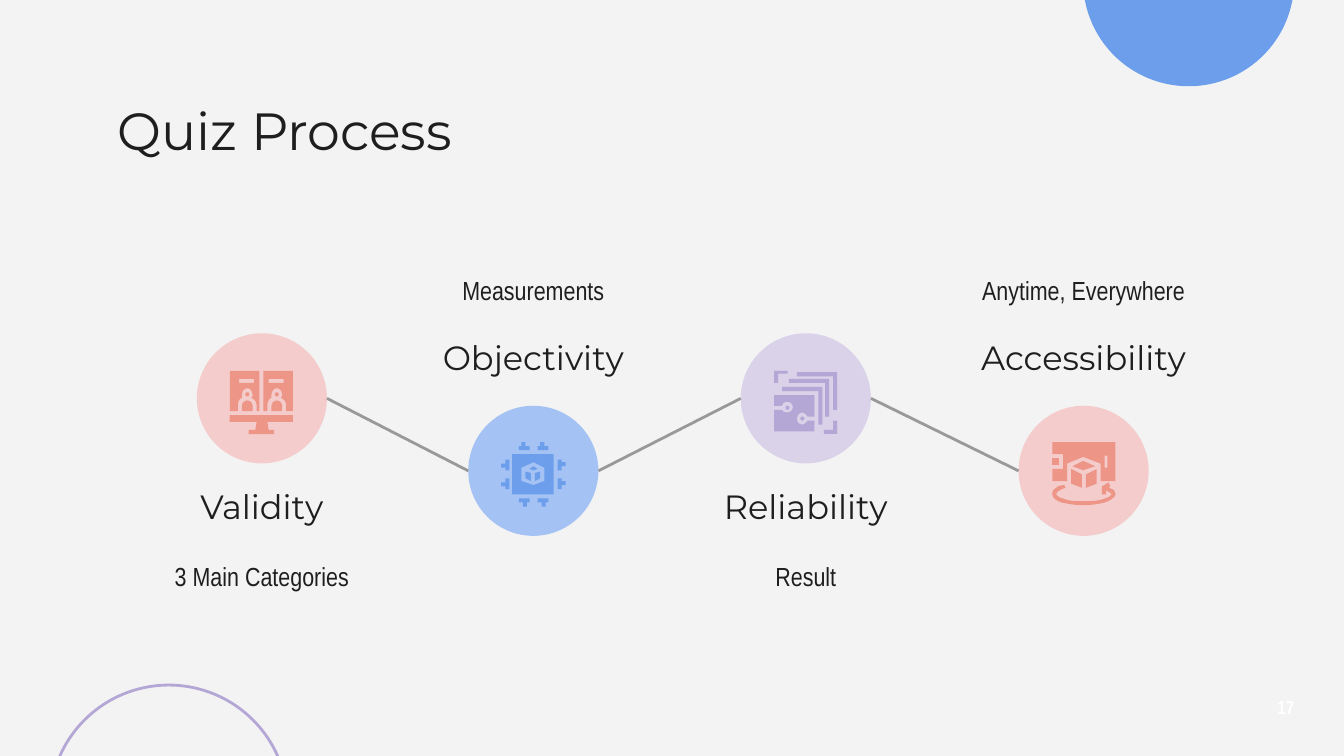
from dataclasses import dataclass
from math import cos, pi, sin

from pptx import Presentation, oxml
from pptx import util as u
from pptx.dml import color
from pptx.enum import shapes, text


@dataclass(frozen=True)
class Theme:
    paper: str = "F3F3F3"
    ink: str = "1E1E1E"
    white: str = "FFFFFF"
    gray: str = "999999"
    blue: str = "6D9EEB"
    light_blue: str = "A4C2F4"
    purple: str = "B4A7D6"
    light_purple: str = "D9D2E9"
    coral: str = "ED9688"
    light_coral: str = "F4CCCC"
    head_font: str = "Montserrat"
    body_font: str = "Arial Narrow"
    title_size: int = 28
    name_size: int = 18
    note_size: int = 14
    number_size: int = 10
    line_width: float = 1.5


theme = Theme()


def write(box, words, font, size, ink=theme.ink, align=text.PP_ALIGN.CENTER, bold=False):
    frame = box.text_frame
    layout = {"word_wrap": True, "auto_size": text.MSO_AUTO_SIZE.NONE,
              "vertical_anchor": text.MSO_ANCHOR.MIDDLE}
    layout.update({f"margin_{side}": u.Cm(0.25) for side in ("left", "right", "top", "bottom")})
    for key, value in layout.items():
        setattr(frame, key, value)
    para = frame.paragraphs[0]
    para.alignment = align
    span = para.add_run()
    span.text = words
    for key, value in {"name": font, "size": u.Pt(size), "bold": bold}.items():
        setattr(span.font, key, value)
    span.font.color.rgb = color.RGBColor.from_string(ink)


def trace(group, outlines, fill):
    builder = None
    for outline in outlines:
        points = []
        for node in outline:
            if len(node) == 2:
                points.append(node)
                continue
            xs, ys = (points[-1][0], *node[::2]), (points[-1][1], *node[1::2])
            for step in range(1, 7):
                t = step / 6
                weights = ((1 - t) ** 3, 3 * t * (1 - t) ** 2, 3 * t * t * (1 - t), t ** 3)
                points.append(tuple(sum(w * v for w, v in zip(weights, axis)) for axis in (xs, ys)))
        points = [(x * 10, y * 10) for x, y in points]
        if builder is None:
            builder = group.shapes.build_freeform(*points[0], scale=u.Cm(2.54) / 1000)
        else:
            builder.move_to(*points[0])
        builder.add_line_segments(points[1:], close=True)
    shape = builder.convert_to_shape()
    shape.shadow.inherit = False
    shape.fill.solid()
    shape.fill.fore_color.rgb = color.RGBColor.from_string(fill)
    shape.line.fill.background()


deck = Presentation()
deck.slide_width, deck.slide_height = u.Cm(25.4), u.Cm(14.29)
page = deck.slides.add_slide(deck.slide_layouts[5])
page.background.fill.solid()
page.background.fill.fore_color.rgb = color.RGBColor.from_string(theme.paper)

title = page.shapes.title
for key, value in {"left": 1.98, "top": 1.8, "width": 21.44, "height": 1.3}.items():
    setattr(title, key, u.Cm(value))
write(title, "Quiz Process", theme.head_font, theme.title_size, align=text.PP_ALIGN.LEFT)

steps = [
    ("Validity", "3 Main Categories", theme.light_coral, 4.95, True),
    ("Objectivity", "Measurements", theme.light_blue, 10.08, False),
    ("Reliability", "Result", theme.light_purple, 15.23, True),
    ("Accessibility", "Anytime, Everywhere", theme.light_coral, 20.48, False),
]
diameter, label_width = 2.46, 5.13
centres = [(x, 7.53 if label_below else 8.9) for *_, x, label_below in steps]

circles = [(20.47, -2.36, 3.99, theme.blue, None), (0.94, 12.95, 4.5, None, theme.purple)]
for (name, note, fill, x, label_below), (_, y) in zip(steps, centres):
    circles.append((x - diameter / 2, y - diameter / 2, diameter, fill, None))
    name_top, note_top = (8.99, 10.16) if label_below else (6.17, 4.75)
    for words, top, height, font, size in (
        (name, name_top, 1.17, theme.head_font, theme.name_size),
        (note, note_top, 1.45, theme.body_font, theme.note_size),
    ):
        box = page.shapes.add_textbox(u.Cm(x - label_width / 2), u.Cm(top),
                                      u.Cm(label_width), u.Cm(height))
        write(box, words, font, size)

for left, top, size, fill, line in circles:
    circle = page.shapes.add_shape(shapes.MSO_SHAPE.OVAL, u.Cm(left), u.Cm(top), u.Cm(size), u.Cm(size))
    circle.shadow.inherit = False
    for part, shade in ((circle.fill, fill), (circle.line.fill, line)):
        if shade:
            part.solid()
            part.fore_color.rgb = color.RGBColor.from_string(shade)
        else:
            part.background()
    if line:
        circle.line.width = u.Pt(theme.line_width)

for (x1, y1), (x2, y2) in zip(centres, centres[1:]):
    link = page.shapes.add_connector(shapes.MSO_CONNECTOR.STRAIGHT, u.Cm(x1 + diameter / 2), u.Cm(y1),
                                     u.Cm(x2 - diameter / 2), u.Cm(y2))
    link.line.color.rgb = color.RGBColor.from_string(theme.gray)
    link.line.width = u.Pt(theme.line_width)
    link._element.spPr.append(oxml.parse_xml(
        '<a:effectLst xmlns:a="http://schemas.openxmlformats.org/drawingml/2006/main"/>'))

ring = [(1.5 * cos(pi * i / 8), 1.5 * sin(pi * i / 8)) for i in range(16)]

meeting = [[[(171, 309), (171, 314), (191, 314), (190, 320), (185, 320), (185, 323), (204, 323),
             (204, 320), (200, 320), (199, 314), (218, 314), (218, 309)]]]
for left, x in ((171, 184), (196, 206)):
    meeting += [
        [[(x + dx, 293.5 + dy) for dx, dy in ring]],
        [[(x, 298), (x - 2, 298, x - 4, 300, x - 4, 302), (x - 4, 306), (x + 4, 306), (x + 4, 302),
          (x + 4, 300, x + 2, 298, x, 298)]],
        [[(x - 6, 282), (x + 5, 282), (x + 5, 285), (x - 6, 285)],
         [(left, 276), (left, 306), (x - 7, 306), (x - 7, 302), (x - 7, 299, x - 6, 297, x - 4, 296),
          (x - 4, 295, x - 4, 294, x - 4, 294), (x - 4, 291, x - 2, 289, x, 289),
          (x + 2, 289, x + 4, 291, x + 4, 294), (x + 4, 294, x + 4, 295, x + 3, 296),
          (x + 5, 297, x + 7, 299, x + 7, 302), (x + 7, 306), (left + 22, 306), (left + 22, 276)]],
    ]

chip = [
    [[(402, 351), (398, 352), (398, 358), (402, 356)]],
    [[(391, 351), (391, 356), (395, 358), (395, 352)]],
    [[(397, 347), (394, 349), (397, 350), (400, 349)]],
    [[(397, 344), (405, 348), (405, 358), (397, 361), (388, 358), (388, 348)],
     [(381, 338), (381, 368), (412, 368), (412, 338)]],
]
for start in (-11, 3):
    pin = [(18, start), (18, start + 8), (21, start + 8), (21, start + 5),
           (24, start + 5), (24, start + 2), (21, start + 2), (21, start)]
    for turn in range(4):
        chip.append([[(397 + x, 353 + y) for x, y in pin]])
        pin = [(-y, x) for x, y in pin]

layers = [
    [[(620, 313), (620, 320), (613, 320), (613, 323), (623, 323), (623, 313)]],
    [[(576, 276), (576, 285), (579, 285), (579, 278), (586, 278), (586, 276)]],
    [[(576, 294), (576, 302), (582, 302), (582, 300, 584, 299, 586, 299),
      (588, 299, 590, 301, 590, 303), (590, 305, 588, 307, 586, 307), (584, 307, 582, 306, 582, 305),
      (576, 305), (576, 321), (606, 321), (606, 313), (601, 313), (600, 314, 599, 316, 597, 316),
      (595, 316, 593, 314, 593, 312), (593, 309, 595, 307, 597, 307), (599, 307, 600, 309, 601, 310),
      (606, 310), (606, 294)]],
]
layers += [[[(x, y), (x, y + 3), (x + 27, y + 3), (x + 27, y + 28), (x + 30, y + 28), (x + 30, y)]]
           for x, y in ((593, 277), (587, 282), (582, 288))]
layers += [[[(x + dx, y + dy) for dx, dy in ring]] for x, y in ((586, 303.5), (597, 311.5))]

spinning_box = [
    [[(783, 341), (783, 346), (788, 346), (788, 341)]],
    [[(825, 359), (820, 362), (820, 368), (823, 368), (823, 365), (825, 366, 827, 367, 827, 368),
      (827, 368, 826, 370, 822, 371), (817, 373, 812, 373, 806, 373), (801, 373, 795, 373, 791, 371),
      (787, 370, 786, 368, 786, 368), (786, 366, 788, 365, 793, 363), (792, 361),
      (789, 361, 787, 362, 786, 363), (783, 365, 783, 366, 783, 368), (783, 369, 784, 372, 790, 374),
      (795, 375, 800, 376, 806, 376), (812, 376, 818, 375, 822, 374), (828, 372, 830, 369, 830, 368),
      (830, 365, 828, 364, 827, 364), (827, 364, 826, 363, 825, 363), (826, 362)]],
    [[(806, 343), (798, 347), (806, 350), (815, 347)]],
    [[(797, 349), (797, 360), (805, 363), (805, 353)]],
    [[(816, 349), (808, 353), (808, 363), (816, 360)]],
    [[(824, 339), (824, 348), (822, 348), (822, 339)],
     [(783, 329), (783, 338), (791, 338), (791, 349), (783, 349), (783, 358), (794, 358), (794, 345),
      (806, 340), (819, 345), (819, 358), (830, 358), (830, 329)]],
]

for icon, shade in ((meeting, theme.coral), (chip, theme.blue),
                    (layers, theme.purple), (spinning_box, theme.coral)):
    group = page.shapes.add_group_shape()
    for outlines in icon:
        trace(group, outlines, shade)

number = page.shapes.add_textbox(u.Cm(22.71), u.Cm(12.86), u.Cm(2), u.Cm(1))
write(number, "17", theme.body_font, theme.number_size, theme.white, text.PP_ALIGN.RIGHT, True)

deck.save("out.pptx")
